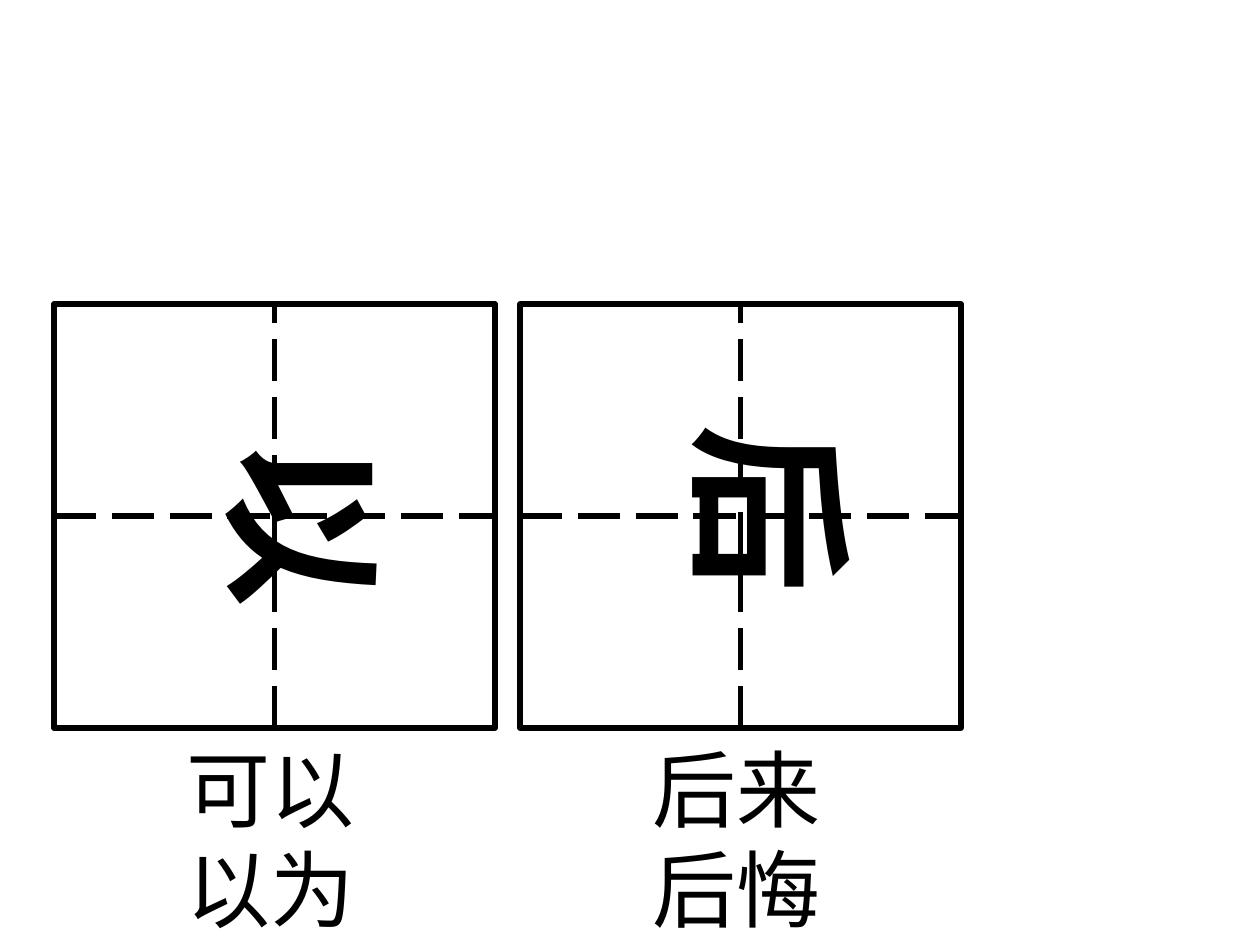
from dataclasses import dataclass

from lxml.etree import SubElement
from pptx import Presentation
from pptx.dml.color import RGBColor
from pptx.enum.dml import MSO_LINE_DASH_STYLE as Dash
from pptx.enum.shapes import MSO_CONNECTOR as Conn, MSO_SHAPE as Shape
from pptx.enum.text import MSO_ANCHOR as Anchor, MSO_AUTO_SIZE as Fit
from pptx.oxml import parse_xml
from pptx.oxml.ns import nsdecls, qn
from pptx.util import Emu, Pt

BLACK = RGBColor(0, 0, 0)
WHITE = RGBColor(255, 255, 255)
HAN = "Noto Sans CJK SC"
ROMAN = "Times New Roman"
SCALE = 914400 / 126

TOP, WIDE, HIGH = 304, 441, 424
WORD_TOP, WORD_WIDE, WORD_HIGH = 731, 193, 214


@dataclass(frozen=True)
class Box:
    left: int
    top: int
    wide: int
    high: int

    def emu(self) -> list[Emu]:
        return [px(n) for n in (self.left, self.top, self.wide, self.high)]


@dataclass(frozen=True)
class Card:
    left: int
    sign: str
    spot: Box
    words: tuple[str, ...]


CARDS = (
    Card(54, "以", Box(139, 388, 268, 258), ("可以", "以为")),
    Card(520, "后", Box(600, 364, 258, 277), ("后来", "后悔")),
)


def px(n: int) -> Emu:
    return Emu(round(n * SCALE))


def ink(line) -> None:
    line.color.rgb = BLACK
    line.width = Pt(3)


def draw_grid(slide, left: int) -> None:
    """Draw a practice square with dashed centre lines."""
    group = slide.shapes.add_group_shape()
    rect = group.shapes.add_shape(
        Shape.RECTANGLE, *Box(left, TOP, WIDE, HIGH).emu())
    rect.shadow.inherit = False
    rect.fill.background()
    ink(rect.line)
    for start, end in ((1, 3), (2, 0)):
        line = group.shapes.add_connector(Conn.STRAIGHT, *rect_mid(left))
        line.begin_connect(rect, start)
        line.end_connect(rect, end)
        ink(line.line)
        line.line.dash_style = Dash.LONG_DASH
        SubElement(line._element.spPr, qn("a:effectLst"))


def rect_mid(left: int) -> list[Emu]:
    x, y = px(left + WIDE // 2), px(TOP + HIGH // 2)
    return [x, y, x, y]


def add_run(para, text: str, size: int, face: str):
    run = para.add_run()
    run.text = text
    run.font.size = Pt(size)
    run.font.name = face
    run.font.color.rgb = BLACK
    run._r.get_or_add_rPr().set("lang", "zh-CN")
    return run


def draw_sign(slide, card: Card) -> None:
    """Draw the bold outlined character, set vertically and turned."""
    box = slide.shapes.add_textbox(*card.spot.emu())
    box.rotation = 90
    frame = box.text_frame
    frame.word_wrap = False
    frame.vertical_anchor = Anchor.MIDDLE
    frame.margin_left = frame.margin_right = Pt(3.6)
    frame.margin_top = frame.margin_bottom = Pt(7.2)
    frame._txBody.bodyPr.set("vert", "eaVert")
    run = add_run(frame.paragraphs[0], card.sign, 96, HAN)
    run.font.bold = True
    props = run._r.get_or_add_rPr()
    props.insert(0, parse_xml(
        f'<a:ln {nsdecls("a")} w="9525"><a:solidFill>'
        f'<a:srgbClr val="{BLACK}"/></a:solidFill></a:ln>'))
    props.find(qn("a:latin")).addnext(
        parse_xml(f'<a:ea {nsdecls("a")} typeface="{HAN}"/>'))


def draw_words(slide, card: Card) -> None:
    spot = Box(card.left + 120, WORD_TOP, WORD_WIDE, WORD_HIGH)
    frame = slide.shapes.add_textbox(*spot.emu()).text_frame
    frame.word_wrap = False
    frame.auto_size = Fit.SHAPE_TO_FIT_TEXT
    for i, word in enumerate(card.words):
        para = frame.add_paragraph() if i else frame.paragraphs[0]
        add_run(para, word, 48, ROMAN)


def main() -> None:
    deck = Presentation()
    deck.slide_width, deck.slide_height = px(1260), px(945)
    slide = deck.slides.add_slide(deck.slide_layouts[6])
    slide.background.fill.solid()
    slide.background.fill.fore_color.rgb = WHITE
    for card in CARDS:
        draw_grid(slide, card.left)
    for draw in (draw_sign, draw_words):
        for card in CARDS:
            draw(slide, card)
    deck.save("out.pptx")


if __name__ == "__main__":
    main()
